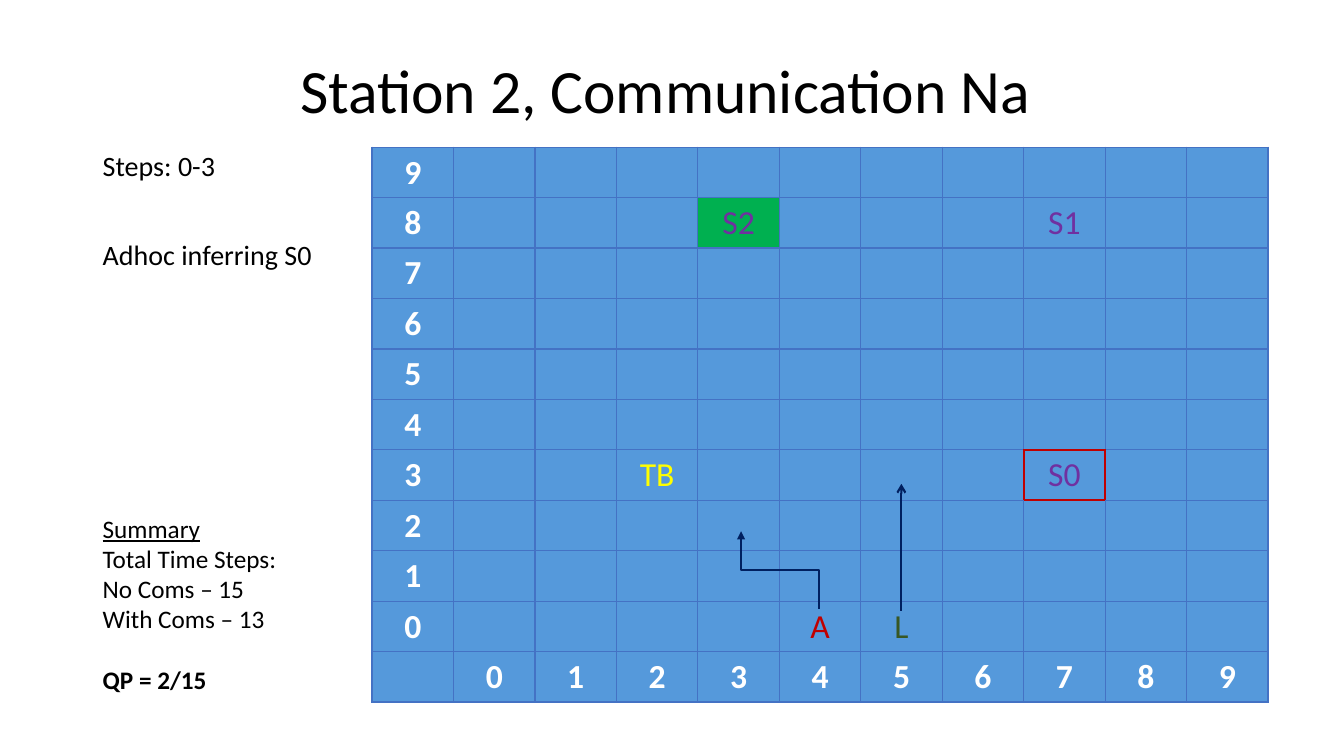
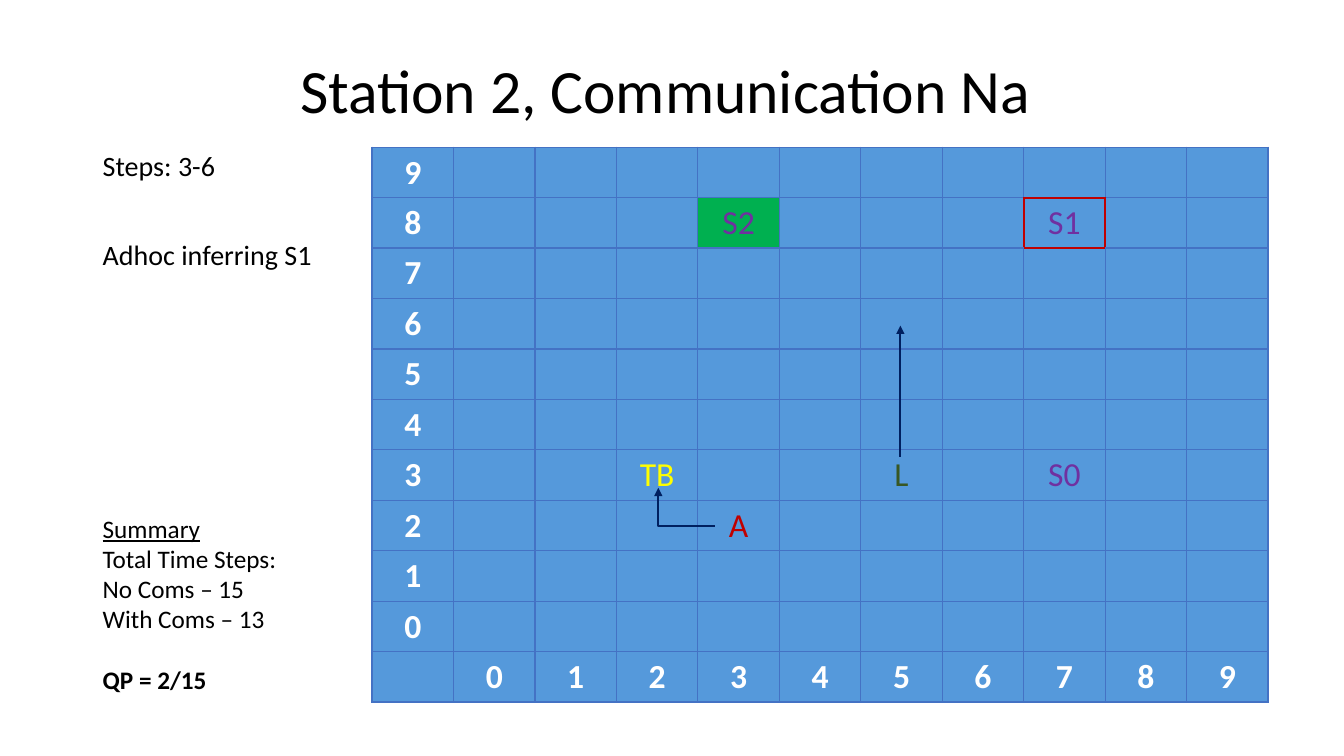
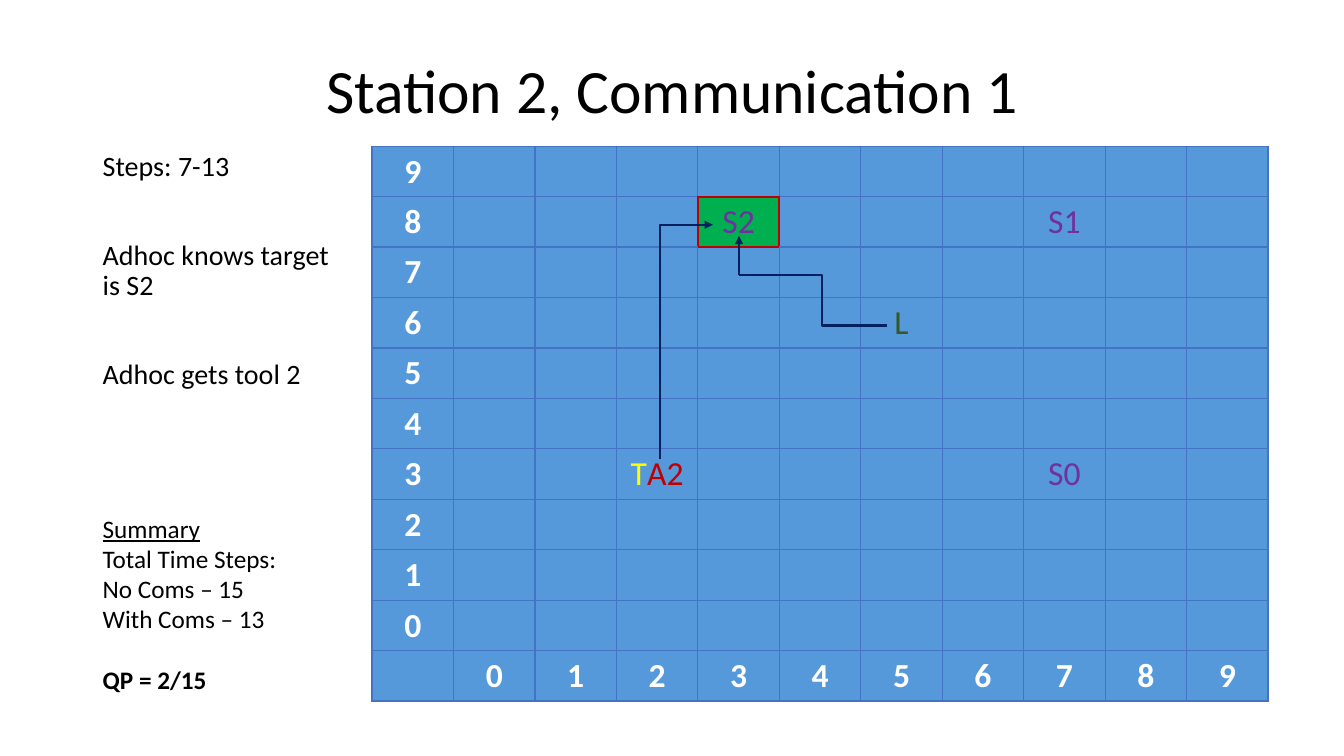
"""Build three slides that trace agents moving across a ten by ten grid."""
from lxml.etree import SubElement
from pptx import Presentation
from pptx.dml.color import RGBColor
from pptx.enum.shapes import MSO_CONNECTOR
from pptx.enum.text import MSO_ANCHOR, PP_ALIGN
from pptx.oxml import parse_xml
from pptx.oxml.ns import nsdecls, qn
from pptx.util import Inches, Pt

FONT = "Calibri"
BLACK = RGBColor(0x00, 0x00, 0x00)
WHITE = RGBColor(0xFF, 0xFF, 0xFF)
GRID_FILL = RGBColor(0x55, 0x99, 0xDB)
GRID_LINE = RGBColor(0x44, 0x72, 0xC4)
GREEN = RGBColor(0x00, 0xB0, 0x50)
RED = RGBColor(0xC0, 0x00, 0x00)
PURPLE = RGBColor(0x70, 0x30, 0xA0)
YELLOW = RGBColor(0xFF, 0xFF, 0x00)
OLIVE = RGBColor(0x38, 0x57, 0x23)
NAVY = RGBColor(0x00, 0x20, 0x60)

CELLS = 10
SIDES = {"lnL": (-1, 0), "lnR": (1, 0), "lnT": (0, 1), "lnB": (0, -1)}
STATIONS = {
    (3, 8): [("S2", PURPLE)],
    (7, 8): [("S1", PURPLE)],
    (7, 3): [("S0", PURPLE)],
}
TARGET = (3, 8)
TOOLBOX = [("TB", YELLOW)]
ADHOC = [("A", RED)]
LEADER = [("L", OLIVE)]


def write(paragraph, text, size=18, color=BLACK, bold=False, underline=False,
          align=None, spacing=None, before=0):
    run = paragraph.add_run()
    run.text = text
    font = run.font
    font.name, font.size, font.color.rgb = FONT, Pt(size), color
    font.bold, font.underline = bold, underline
    paragraph.alignment = align
    paragraph.line_spacing = spacing
    paragraph.space_before = Pt(before)


class GridDeck:
    def __init__(self):
        self.deck = Presentation()
        self.deck.slide_width = Inches(13.33)
        self.deck.slide_height = Inches(7.5)
        self.slide = None

    def new_slide(self, title, notes):
        self.slide = self.deck.slides.add_slide(self.deck.slide_layouts[6])
        self.text_box(0.92, 0.4, 11.5, 1.06,
                      [(title, dict(size=44, align=PP_ALIGN.CENTER, spacing=0.9))],
                      MSO_ANCHOR.MIDDLE)
        self.text_box(0.92, 1.46, 2.59, 3.58,
                      [(note, dict(size=20, spacing=0.9, before=42 if index else 0))
                       for index, note in enumerate(notes)])
        self.text_box(0.92, 5.04, 2.59, 1.92, [
            ("Summary", dict(underline=True)),
            ("Total Time Steps:", {}),
            ("No Coms – 15", {}),
            ("With Coms – 13", {}),
            ("QP = 2/15", dict(bold=True, before=22)),
        ])

    def text_box(self, left, top, width, height, lines, anchor=MSO_ANCHOR.TOP):
        frame = self.slide.shapes.add_textbox(
            Inches(left), Inches(top), Inches(width), Inches(height)).text_frame
        frame.word_wrap = True
        frame.vertical_anchor = anchor
        for index, (text, style) in enumerate(lines):
            paragraph = frame.add_paragraph() if index else frame.paragraphs[0]
            write(paragraph, text, **style)

    def grid(self, agents, inferred, top=1.46):
        table = self.slide.shapes.add_table(
            CELLS + 1, CELLS + 1, Inches(3.69), Inches(top),
            Inches(8.89), Inches(5.5)).table
        table.first_row = table.horz_banding = False
        marks = {**STATIONS, **agents}
        for x in range(-1, CELLS):
            for y in range(-1, CELLS):
                cell = table.cell(CELLS - 1 - y, x + 1)
                cell.vertical_anchor = MSO_ANCHOR.MIDDLE
                cell.fill.solid()
                cell.fill.fore_color.rgb = GREEN if (x, y) == TARGET else GRID_FILL
                self.borders(cell, x, y, inferred)
                is_label = (x < 0) != (y < 0)
                parts = [(str(max(x, y)), WHITE)] if is_label else marks.get((x, y), [])
                for text, color in parts:
                    write(cell.text_frame.paragraphs[0], text, size=24, color=color,
                          bold=is_label, align=PP_ALIGN.CENTER)

    def borders(self, cell, x, y, inferred):
        properties = cell._tc.get_or_add_tcPr()
        for index, (side, (dx, dy)) in enumerate(SIDES.items()):
            marked = inferred in ((x, y), (x + dx, y + dy))
            color, width = (RED, 1.5) if marked else (GRID_LINE, 1)
            properties.insert(index, parse_xml(
                f'<a:{side} {nsdecls("a")} w="{Pt(width)}"><a:solidFill>'
                f'<a:srgbClr val="{color}"/></a:solidFill></a:{side}>'))

    def move(self, start, end, kind=MSO_CONNECTOR.STRAIGHT, head="triangle"):
        connector = self.slide.shapes.add_connector(
            kind, *(Inches(value) for value in (*start, *end)))
        connector.line.color.rgb = NAVY
        connector.line.width = Pt(1.5)
        if head:
            SubElement(connector.line._get_or_add_ln(), qn("a:tailEnd"), type=head)
        SubElement(connector._element.spPr, qn("a:effectLst"))
        return connector

    def elbow(self, start, end, bend, head="triangle"):
        connector = self.move(start, end, MSO_CONNECTOR.ELBOW, head)
        guides = connector._element.spPr.find(qn("a:prstGeom")).get_or_add_avLst()
        SubElement(guides, qn("a:gd"), name="adj1", fmla=f"val {round(bend * 100000)}")
        return connector

    def climb(self, start, end, bend):
        (x1, y1), (x2, y2) = start, end
        middle_x, middle_y = (x1 + x2) / 2, (y1 + y2) / 2
        half_rise, half_run = (y1 - y2) / 2, (x2 - x1) / 2
        connector = self.elbow((middle_x - half_rise, middle_y - half_run),
                               (middle_x + half_rise, middle_y + half_run), bend)
        connector._element.spPr.find(qn("a:xfrm")).set("rot", str(270 * 60000))


def main():
    board = GridDeck()

    board.new_slide("Station 2, Communication Na ", ["Steps: 0-3", "Adhoc inferring S0"])
    board.grid({(2, 3): TOOLBOX, (4, 0): ADHOC, (5, 0): LEADER}, inferred=(7, 3))
    board.move((8.94, 6.06), (8.94, 4.8), head="arrow")
    board.climb((8.12, 6.04), (7.35, 5.27), bend=0.5)

    board.new_slide("Station 2, Communication Na ", ["Steps: 3-6", "Adhoc inferring S1"])
    board.grid({(2, 3): TOOLBOX, (3, 2): ADHOC, (5, 3): LEADER}, inferred=(7, 8))
    board.elbow((7.09, 5.22), (6.53, 4.84), bend=1)
    board.move((8.93, 4.53), (8.93, 3.23))

    board.new_slide("Station 2, Communication 1",
                    ["Steps: 7-13", "Adhoc knows target is S2", "Adhoc gets tool 2"])
    board.grid({(2, 3): [("T", YELLOW), ("A2", RED)], (5, 6): LEADER},
               inferred=TARGET, top=1.45)
    board.elbow((8.8, 3.23), (7.33, 2.73), bend=0.44, head=None)
    board.move((7.33, 2.73), (7.33, 2.34))
    board.climb((6.55, 4.55), (7.07, 2.23), bend=1)

    board.deck.save("out.pptx")


if __name__ == "__main__":
    main()
